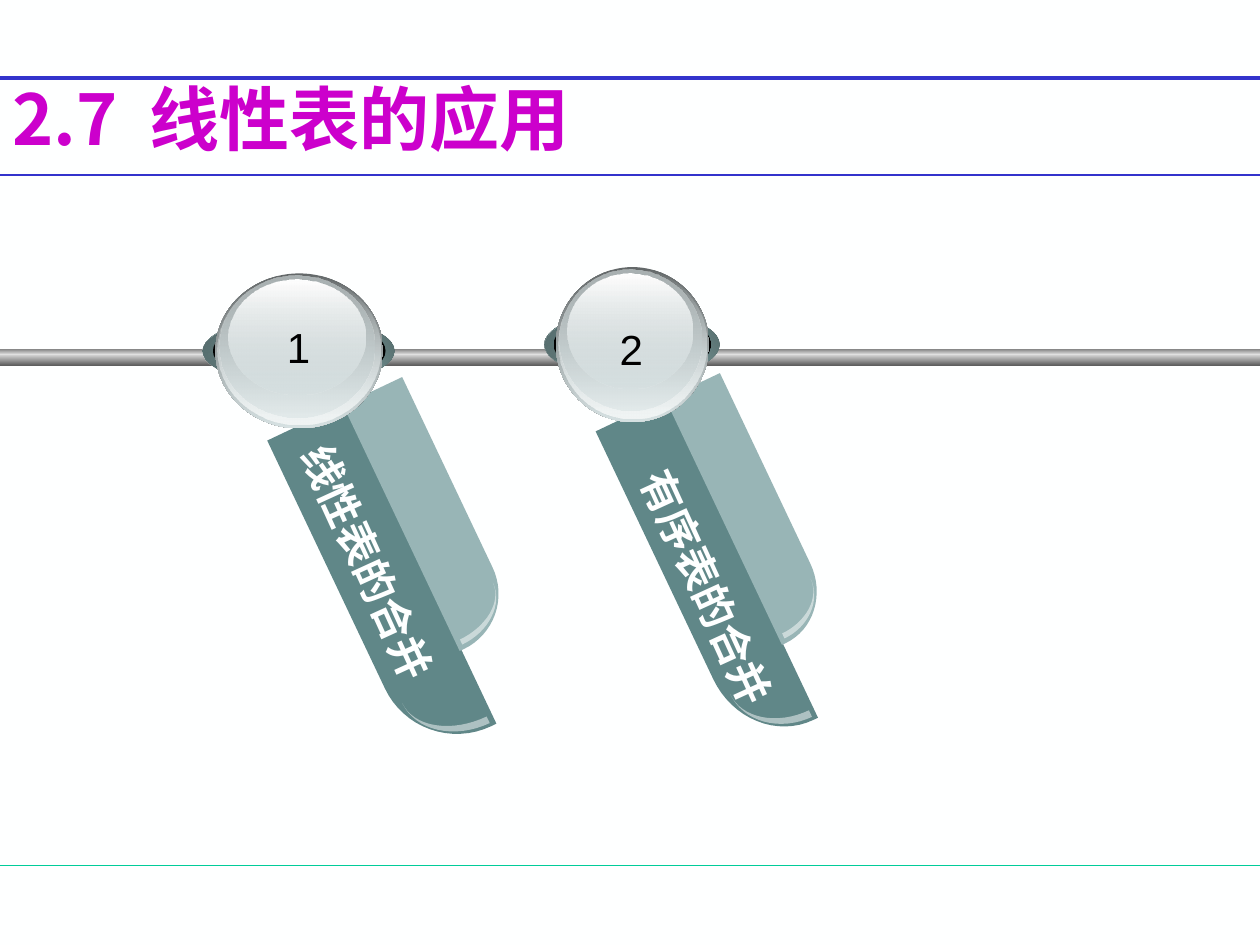
from math import cos, pi, sin
from lxml import etree
from pptx import Presentation
from pptx.dml.color import RGBColor
from pptx.enum.dml import MSO_FILL
from pptx.enum.shapes import MSO_CONNECTOR, MSO_SHAPE
from pptx.enum.text import MSO_ANCHOR, MSO_AUTO_SIZE, PP_ALIGN
from pptx.oxml import parse_xml
from pptx.oxml.ns import nsdecls, qn
from pptx.util import Inches, Pt

LINE = MSO_CONNECTOR.STRAIGHT
RECTANGLE, OVAL = MSO_SHAPE.RECTANGLE, MSO_SHAPE.OVAL
SOLID = MSO_FILL.SOLID
LEFT, CENTER = PP_ALIGN.LEFT, PP_ALIGN.CENTER
TOP, MIDDLE = MSO_ANCHOR.TOP, MSO_ANCHOR.MIDDLE
HEADING_FONT, NUMBER_FONT = "Noto Sans CJK SC", "Arial"
WIDTH, HEIGHT = 10, 7.5
BLADE_ANGLE, LABEL_ANGLE = 64.6, 65.4
ARC_STEPS = 16

COLORS = {
    "paper": "FEFFFF", "title": "CC00CC", "rule": "3333CC", "footer": "00CC99",
    "black": "000000", "white": "FFFFFF", "dark": "608788", "light": "98B5B6",
    "ring": "83A6A7", "ring_edge": "475A5A", "ring_shade": "53696A",
    "glass": "D6E1E2", "glass_edge": "636869", "glass_mid": "AAB2B3",
    "glass_pale": "F1F5F5", "rod_top": "808080", "rod_shine": "ECECEC",
    "rod_mid": "CFCFCF", "rod_base": "5F5F5F",
}

TITLE = ["2.7", " ", "线性表的应用"]
RULES = [(0.62, "rule", 2.25), (1.39, "rule", 1), (6.87, "footer", 0.75)]
ROD = [
    (2.77, 0.05, [(0, "rod_top", 100), (100, "rod_shine", 100)]),
    (2.82, 0.08, [(0, "rod_mid", 100), (100, "rod_base", 100)]),
]

BALL_WIDTH = 1.52
BALL_LAYERS = [
    ((0.12, 0.35, 0.2, 0.53), 45, [(0, "white", 100), (50, "ring", 100), (100, "white", 100)]),
    ((0.12, 0.35, 0.2, 0.53), 45, [(0, "ring", 32), (100, "black", 90)]),
    ((0, 0.35, 1.52, 0.53), 315, [(0, "ring_edge", 100), (50, "ring", 100), (100, "ring_edge", 100)]),
    ((0, 0.35, 1.52, 0.53), 45, [(0, "ring_shade", 100), (100, "ring", 0)]),
    ((0.08, 0.35, 1.37, 0.53), 0, [(0, "black", 100), (100, "black", 100)]),
    ((0.1, 0, 1.33, 1.23), 90, [(0, "glass_edge", 100), (100, "glass", 100)]),
    ((0.12, 0.01, 1.29, 1.19), 90, [(0, "glass", 0), (100, "glass_pale", 100)]),
    ((0.13, 0.02, 1.23, 1.12), 90, [(0, "glass_mid", 100), (100, "glass", 48)]),
    ((0.2, 0.05, 1.09, 0.91), 90, [(0, "white", 100), (100, "glass", 38)]),
]

BLADE_PARTS = [
    ("blade", "dark", 100, False), ("gloss", "white", 49, False),
    ("blade", "light", 100, True), ("gloss", "white", 49, True),
]
PENDANTS = [
    {"number": "1", "label": "线性表的合并", "ball": (1.61, 2.17, 1.52),
     "number_at": (2.08, 2.5), "label_center": (2.92, 4.46),
     "parts": [(3.03, 4.62, 2.81, 0.68), (3.54, 5.66, 0.44, 0.56),
               (3.42, 4.08, 2.16, 0.52), (3.79, 4.87, 0.34, 0.43)]},
    {"number": "2", "label": "有序表的合并", "ball": (4.32, 2.12, 1.39),
     "number_at": (4.72, 2.52), "label_center": (5.61, 4.66),
     "parts": [(5.61, 4.56, 2.81, 0.62), (6.12, 5.6, 0.44, 0.51),
               (5.96, 4.04, 2.16, 0.48), (6.33, 4.83, 0.34, 0.39)]},
]


def color(name):
    return RGBColor.from_string(COLORS[name])


def arc(left, top, width, height):
    angles = [pi / 2 * step / ARC_STEPS for step in range(ARC_STEPS + 1)]
    return [(left + width * cos(angle), top + height * sin(angle)) for angle in angles]


OUTLINES = {
    "blade": [(0, 1), (0, 0), (1, 0)] + arc(0.775, 0.07, 0.225, 0.93),
    "gloss": arc(0, 0, 1, 1) + arc(0, 0, 0.87, 1)[::-1],
}


def finish(shape):
    shape.shadow.inherit = False
    shape.line.fill.background()


def fill_gradient(shape, stops, angle):
    marks = "".join(
        f'<a:gs pos="{position * 1000}"><a:srgbClr val="{COLORS[name]}">'
        f'<a:alpha val="{alpha * 1000}"/></a:srgbClr></a:gs>'
        for position, name, alpha in stops)
    gradient = parse_xml(
        f'<a:gradFill {nsdecls("a")} rotWithShape="1"><a:gsLst>{marks}</a:gsLst>'
        f'<a:lin ang="{angle * 60000}" scaled="0"/></a:gradFill>')
    shape.fill.background()
    blank = shape.element.spPr.find(qn("a:noFill"))
    blank.getparent().replace(blank, gradient)


def add_gradient_shape(shapes, kind, box, angle, stops):
    shape = shapes.add_shape(kind, *map(Inches, box))
    finish(shape)
    fill_gradient(shape, stops, angle)


def add_blade_part(shapes, box, outline, fill, alpha, mirrored):
    center_x, center_y, length, thickness = box
    points = [
        (Inches(center_x + (u - 0.5) * length),
         Inches(center_y + ((1 - v if mirrored else v) - 0.5) * thickness))
        for u, v in OUTLINES[outline]]
    builder = shapes.build_freeform(*points[0])
    builder.add_line_segments(points[1:], close=True)
    shape = builder.convert_to_shape()
    finish(shape)
    shape.rotation = BLADE_ANGLE
    shape.fill.solid()
    shape.fill.fore_color.rgb = color(fill)
    if alpha < 100 and shape.fill.type == SOLID:
        tint = shape.element.spPr.find(qn("a:solidFill"))[0]
        etree.SubElement(tint, qn("a:alpha"), val=str(alpha * 1000))


def write(shape, pieces, size, font, fill, bold, align, anchor, wrap):
    frame = shape.text_frame
    frame.auto_size = MSO_AUTO_SIZE.NONE
    frame.word_wrap = wrap
    frame.vertical_anchor = anchor
    paragraph = frame.paragraphs[0]
    paragraph.alignment = align
    for piece in pieces:
        run = paragraph.add_run()
        run.text = piece
        run.font.size = Pt(size)
        run.font.name = font
        run.font.bold = bold
        run.font.color.rgb = color(fill)
        etree.SubElement(run.font._element, qn("a:ea"), typeface=font)
    return paragraph


def add_rule(slide, y, name, weight):
    rule = slide.shapes.add_connector(LINE, 0, Inches(y), Inches(WIDTH), Inches(y))
    rule.line.color.rgb = color(name)
    rule.line.width = Pt(weight)
    etree.SubElement(rule._element.spPr, qn("a:effectLst"))


def add_pendant(slide, pendant):
    shapes = slide.shapes.add_group_shape().shapes
    for box, part in zip(pendant["parts"], BLADE_PARTS):
        add_blade_part(shapes, box, *part)
    ball_left, ball_top, ball_width = pendant["ball"]
    stretch = ball_width / BALL_WIDTH
    for (left, top, width, height), angle, stops in BALL_LAYERS:
        box = (ball_left + left * stretch, ball_top + top, width * stretch, height)
        add_gradient_shape(shapes, OVAL, box, angle, stops)
    x, y = pendant["label_center"]
    label = shapes.add_textbox(Inches(x - 1.1), Inches(y - 0.25), Inches(2.2), Inches(0.5))
    label.rotation = LABEL_ANGLE
    write(label, [pendant["label"]], 24, HEADING_FONT, "paper", True, LEFT, TOP, False)


def main():
    presentation = Presentation()
    presentation.slide_width, presentation.slide_height = Inches(WIDTH), Inches(HEIGHT)
    slide = presentation.slides.add_slide(presentation.slide_layouts[5])
    slide.background.fill.solid()
    slide.background.fill.fore_color.rgb = color("paper")
    title = slide.shapes.title
    title.left, title.top, title.width, title.height = map(Inches, (0, 0.56, 8.59, 0.75))
    heading = write(title, TITLE, 40, HEADING_FONT, "title", True, LEFT, MIDDLE, True)
    heading.runs[1].font._element.set("spc", "900")
    for rule in RULES:
        add_rule(slide, *rule)
    rod = slide.shapes.add_group_shape().shapes
    for top, height, stops in ROD:
        add_gradient_shape(rod, RECTANGLE, (0, top, WIDTH, height), 90, stops)
    for pendant in PENDANTS:
        add_pendant(slide, pendant)
    for pendant in PENDANTS:
        box = (*pendant["number_at"], 0.58, 0.5)
        number = slide.shapes.add_textbox(*map(Inches, box))
        write(number, [pendant["number"]], 24, NUMBER_FONT, "black", False, CENTER, TOP, True)
    presentation.save("out.pptx")


if __name__ == "__main__":
    main()
